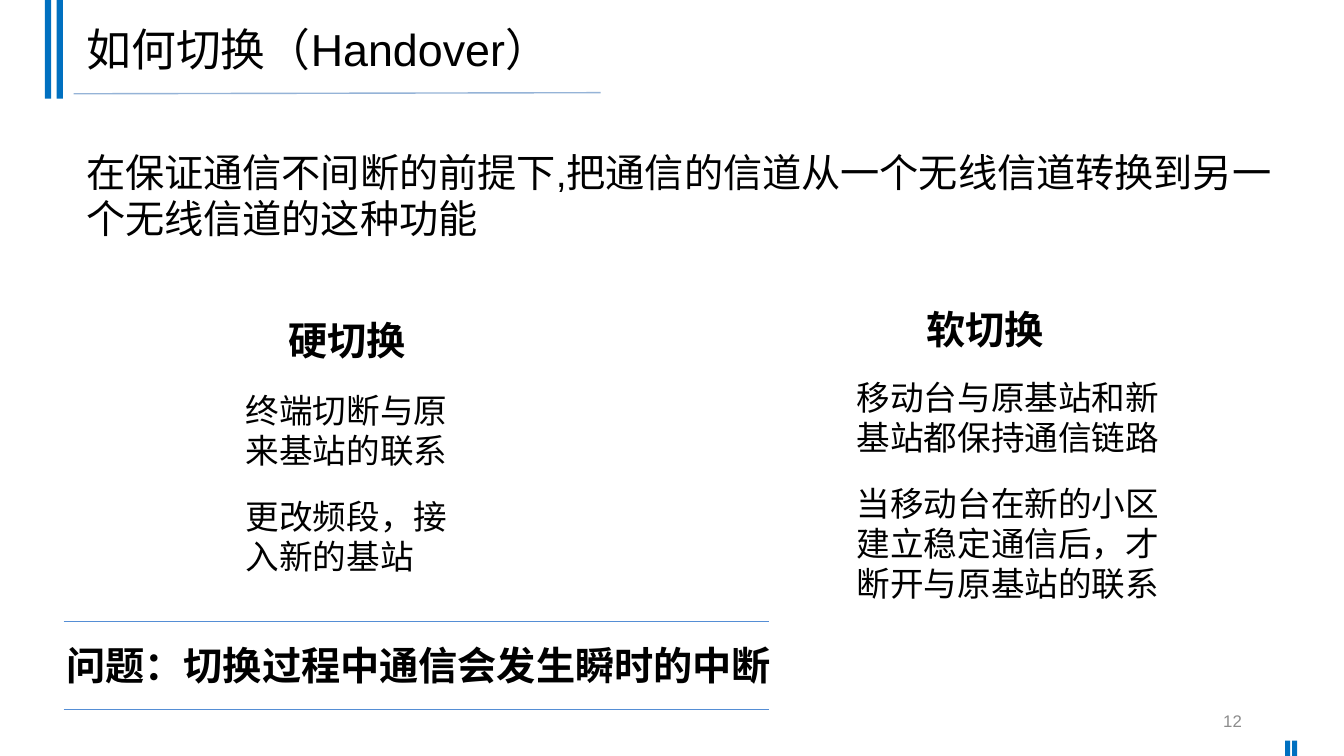
import pptx
import pptx.dml.color
import pptx.enum.shapes
import pptx.enum.text
import pptx.oxml.ns
import pptx.util
import lxml.etree

Pt = pptx.util.Pt
RGBColor = pptx.dml.color.RGBColor
ALIGN = pptx.enum.text.PP_ALIGN
ANCHOR = pptx.enum.text.MSO_ANCHOR
qn = pptx.oxml.ns.qn

BLACK = RGBColor(0x00, 0x00, 0x00)
GREY = RGBColor(0x8C, 0x8C, 0x8C)
BAR_BLUE = RGBColor(0x00, 0x70, 0xC0)
TITLE_RULE = RGBColor(0x95, 0xB3, 0xD7)
PROBLEM_RULE = RGBColor(0x55, 0x8E, 0xD5)


class HandoverSlide:
    latin = "Arial"
    chinese = "Noto Sans CJK SC"

    def __init__(self, presentation):
        self.shapes = presentation.slides.add_slide(presentation.slide_layouts[6]).shapes

    def bar(self, left, top, width, height):
        bar = self.shapes.add_shape(pptx.enum.shapes.MSO_SHAPE.RECTANGLE,
                                    Pt(left), Pt(top), Pt(width), Pt(height))
        bar.shadow.inherit = False
        bar.fill.solid()
        bar.fill.fore_color.rgb = BAR_BLUE
        bar.line.fill.background()

    def rule(self, start, end, color, width):
        rule = self.shapes.add_connector(pptx.enum.shapes.MSO_CONNECTOR.STRAIGHT,
                                         *map(Pt, start + end))
        rule.line.color.rgb = color
        rule.line.width = Pt(width)
        lxml.etree.SubElement(rule._element.spPr, qn("a:effectLst"))

    def text(self, box, paragraphs, size, line_height, color=BLACK, bold=False, font=latin,
             gap=0, wrap=True, anchor=ANCHOR.TOP, align=ALIGN.LEFT):
        frame = self.shapes.add_textbox(*map(Pt, box)).text_frame
        for name, value in {"word_wrap": wrap, "vertical_anchor": anchor}.items():
            setattr(frame, name, value)
        for index, words in enumerate(paragraphs):
            paragraph = frame.add_paragraph() if index else frame.paragraphs[0]
            paragraph_format = {"alignment": align, "line_spacing": Pt(line_height),
                                "space_before": Pt(gap if index else 0)}
            for name, value in paragraph_format.items():
                setattr(paragraph, name, value)
            run = paragraph.add_run()
            run.text = words
            for name, value in {"name": font, "size": Pt(size), "bold": bold}.items():
                setattr(run.font, name, value)
            run.font.color.rgb = color
            east_asian = lxml.etree.SubElement(run._r.get_or_add_rPr(), qn("a:ea"))
            east_asian.set("typeface", self.chinese)

    def handover_type(self, heading_box, heading, steps_box, steps):
        self.text(heading_box, [heading], 28, 44, bold=True)
        self.text(steps_box, steps, 24, 28.8, font=self.chinese, gap=18)


def main():
    presentation = pptx.Presentation()
    presentation.slide_width, presentation.slide_height = Pt(960), Pt(540)
    slide = HandoverSlide(presentation)

    for left in (32, 40.5):
        slide.bar(left, 0, 4.5, 70.5)
    for left in (918, 923):
        slide.bar(left, 529, 3.6, 11)
    slide.rule((52.6, 67), (429, 66.2), TITLE_RULE, 1)

    slide.text((54.7, 5, 828, 63.4), ["如何切换（Handover）"], 32, 34,
               anchor=ANCHOR.MIDDLE)
    slide.text((54.4, 102.2, 862.6, 75),
               ["在保证通信不间断的前提下,把通信的信道从一个无线信道转换到另一个无线信道的这种功能"],
               28, 33.5)

    slide.handover_type((198.7, 211.7, 103.7, 63.4), "硬切换",
                        (168.5, 275, 164.2, 141.8),
                        ["终端切断与原来基站的联系", "更改频段，接入新的基站"])
    slide.handover_type((654.5, 204.5, 103.7, 63.4), "软切换",
                        (604.8, 265.7, 245.5, 170.6),
                        ["移动台与原基站和新基站都保持通信链路",
                         "当移动台在新的小区建立稳定通信后，才断开与原基站的联系"])

    slide.text((40.3, 455, 523.4, 41), ["问题：切换过程中通信会发生瞬时的中断"], 28, 33.5,
               bold=True, wrap=False)
    for height in (443.5, 507):
        slide.rule((45.5, height), (549.5, height), PROBLEM_RULE, 0.5)
    slide.text((678.2, 500.4, 216, 28.8), ["12"], 12, 14.4, color=GREY,
               anchor=ANCHOR.MIDDLE, align=ALIGN.RIGHT)

    presentation.save("out.pptx")


if __name__ == "__main__":
    main()
